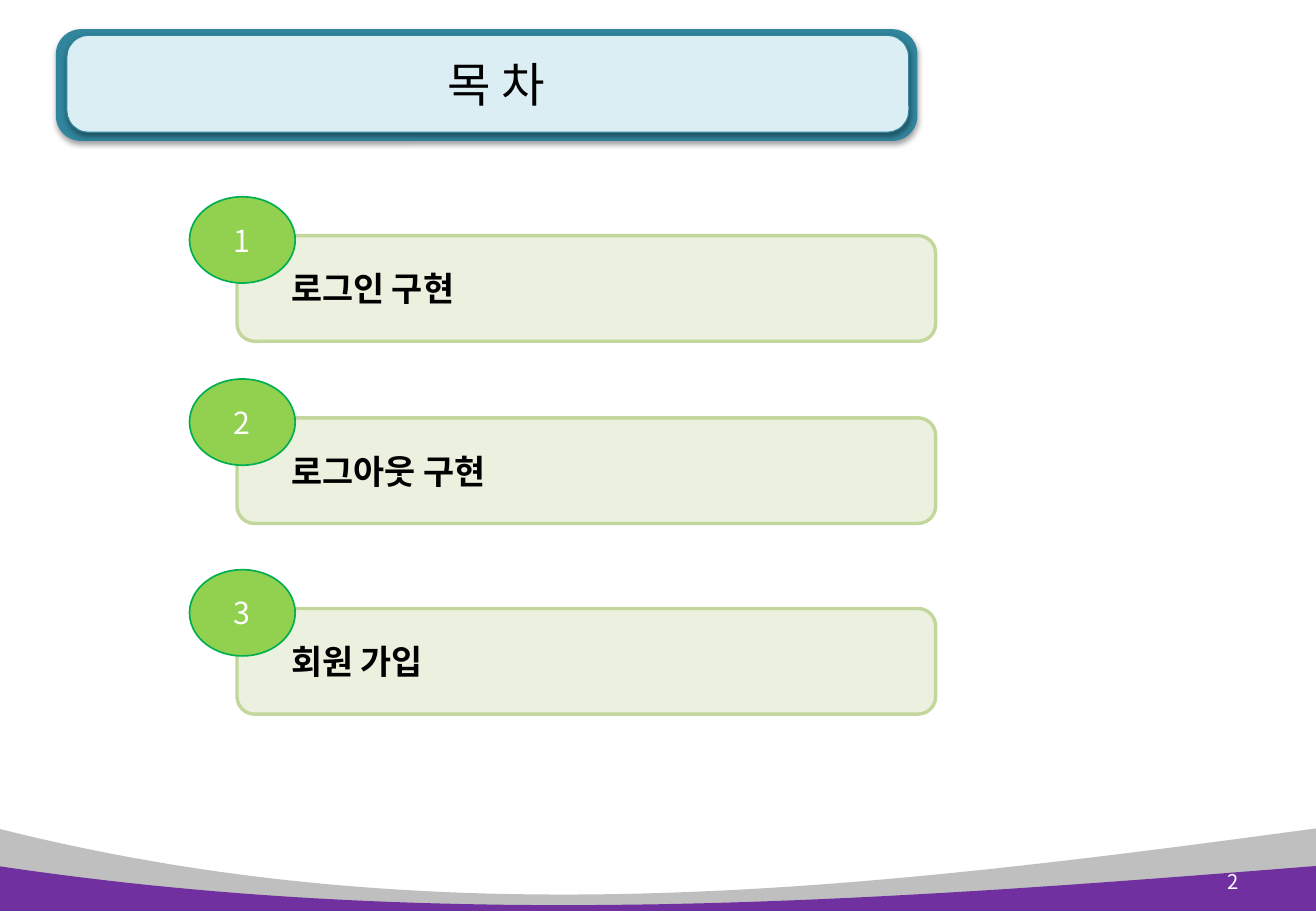
"""Builds the table-of-contents slide with its banner, numbered items and wave footer."""
from dataclasses import dataclass

from lxml.etree import SubElement
from pptx import Presentation
from pptx.dml.color import RGBColor
from pptx.enum.shapes import MSO_SHAPE as Preset
from pptx.enum.text import MSO_ANCHOR as Anchor, PP_ALIGN as Align
from pptx.oxml.ns import qn
from pptx.util import Pt


@dataclass(frozen=True)
class Theme:
    """Colours, type sizes and font of the slide."""
    font: str = "Noto Sans CJK KR"
    ink: str = "000000"
    white: str = "FFFFFF"
    grey: str = "BFBFBF"
    purple: str = "7030A0"
    teal: str = "31859C"
    pale_teal: str = "DBEEF4"
    pale_green: str = "EBF1DE"
    soft_green: str = "C3D69B"
    lime: str = "92D050"
    green: str = "00B050"
    title_size: int = 28
    item_size: int = 20
    badge_size: int = 18
    number_size: int = 12


class ContentsSlide:
    """Draws each kind of element on one slide in one theme."""

    def __init__(self, slide, theme):
        """Keep the slide and its theme."""
        self.slide = slide
        self.theme = theme

    def paint(self, shape, fill, line=None, line_width=1):
        """Give a shape a flat fill and an optional outline."""
        shape.shadow.inherit = False
        shape.fill.solid()
        shape.fill.fore_color.rgb = RGBColor.from_string(fill)
        if line:
            shape.line.color.rgb = RGBColor.from_string(line)
            shape.line.width = Pt(line_width)
        else:
            shape.line.fill.background()

    def label(self, shape, text, size, color, align, bold=False):
        """Set one middle-anchored line of text and format its run."""
        frame = shape.text_frame
        frame.text = text
        frame.word_wrap = True
        frame.vertical_anchor = Anchor.MIDDLE
        paragraph = frame.paragraphs[0]
        paragraph.alignment = align
        run = paragraph.runs[0]
        run.font.size = Pt(size)
        run.font.bold = bold
        run.font.color.rgb = RGBColor.from_string(color)
        run.font.name = self.theme.font
        properties = run._r.get_or_add_rPr()
        SubElement(properties, qn("a:ea"), typeface=self.theme.font)

    def shape(self, preset, box, fill, line=None, line_width=1):
        """Add a painted preset shape."""
        shape = self.slide.shapes.add_shape(preset, *map(Pt, box))
        self.paint(shape, fill, line, line_width)
        return shape

    def wave(self, start, control_1, control_2, end, bottom, fill, steps=60):
        """Fill the area between a cubic curve and a bottom edge."""
        points = []
        for step in range(steps + 1):
            t = step / steps
            weights = ((1 - t) ** 3, 3 * t * (1 - t) ** 2, 3 * t ** 2 * (1 - t), t ** 3)
            curve = zip(start, control_1, control_2, end)
            points.append([Pt(sum(w * v for w, v in zip(weights, axis))) for axis in curve])
        points += [(Pt(end[0]), Pt(bottom)), (Pt(start[0]), Pt(bottom))]
        builder = self.slide.shapes.build_freeform(*points[0])
        builder.add_line_segments(points[1:], close=True)
        self.paint(builder.convert_to_shape(), fill)

    def plate(self, box, fill, line=None):
        """Add a rounded banner plate with a soft shadow below it."""
        plate = self.shape(Preset.ROUNDED_RECTANGLE, box, fill, line, 0.75)
        plate.adjustments[0] = 0.225
        effects = plate._element.spPr.find(qn("a:effectLst"))
        shadow = SubElement(effects, qn("a:outerShdw"), blurRad=str(Pt(3.1)),
                            dist=str(Pt(1.6)), dir="5400000", rotWithShape="0")
        color = SubElement(shadow, qn("a:srgbClr"), val=self.theme.ink)
        SubElement(color, qn("a:alpha"), val="38000")

    def title(self, text, box):
        """Fill the title placeholder and bring it in front of the banner."""
        title = self.slide.shapes.title
        title.left, title.top, title.width, title.height = map(Pt, box)
        self.label(title, text, self.theme.title_size, self.theme.ink, Align.CENTER)
        self.slide.shapes._spTree.append(title._element)

    def page_number(self, text, box):
        """Add the page number on the footer."""
        number = self.slide.shapes.add_textbox(*map(Pt, box))
        self.label(number, text, self.theme.number_size, self.theme.white, Align.RIGHT)

    def item(self, number, text, top):
        """Add a contents bar with its number badge on the upper left corner."""
        theme = self.theme
        bar = self.shape(Preset.ROUNDED_RECTANGLE, (140.4, top, 414, 62.64),
                         theme.pale_green, theme.soft_green, 2)
        self.label(bar, text, theme.item_size, theme.ink, Align.LEFT, bold=True)
        bar.text_frame.margin_left = Pt(29)
        badge = self.shape(Preset.OVAL, (112.32, top - 23.04, 62.64, 51.12),
                           theme.lime, theme.green)
        self.label(badge, str(number), theme.badge_size, theme.white, Align.CENTER)


def main():
    """Build and save the presentation."""
    presentation = Presentation()
    presentation.slide_width, presentation.slide_height = Pt(779.76), Pt(540)
    theme = Theme()
    contents = ContentsSlide(presentation.slides.add_slide(presentation.slide_layouts[5]), theme)

    contents.wave((-1.44, 491.04), (262.8, 558), (518.4, 526.32), (779.76, 491.04),
                  540, theme.grey)
    contents.plate((33.12, 17.28, 510.48, 66.24), theme.teal)
    contents.plate((39.6, 20.88, 498.96, 57.6), theme.pale_teal, theme.teal)
    contents.wave((-1.44, 513.36), (262.8, 552.96), (518.4, 534.24), (779.76, 513.36),
                  542.16, theme.purple)
    contents.title("목 차", (49.68, 15.84, 488.16, 67.68))
    contents.page_number("2", (696.96, 508.32, 43.92, 28.8))

    items = (("로그인 구현", 139.68), ("로그아웃 구현", 247.68), ("회원 가입", 360.72))
    for number, (text, top) in enumerate(items, start=1):
        contents.item(number, text, top)
    presentation.save("out.pptx")


if __name__ == "__main__":
    main()
